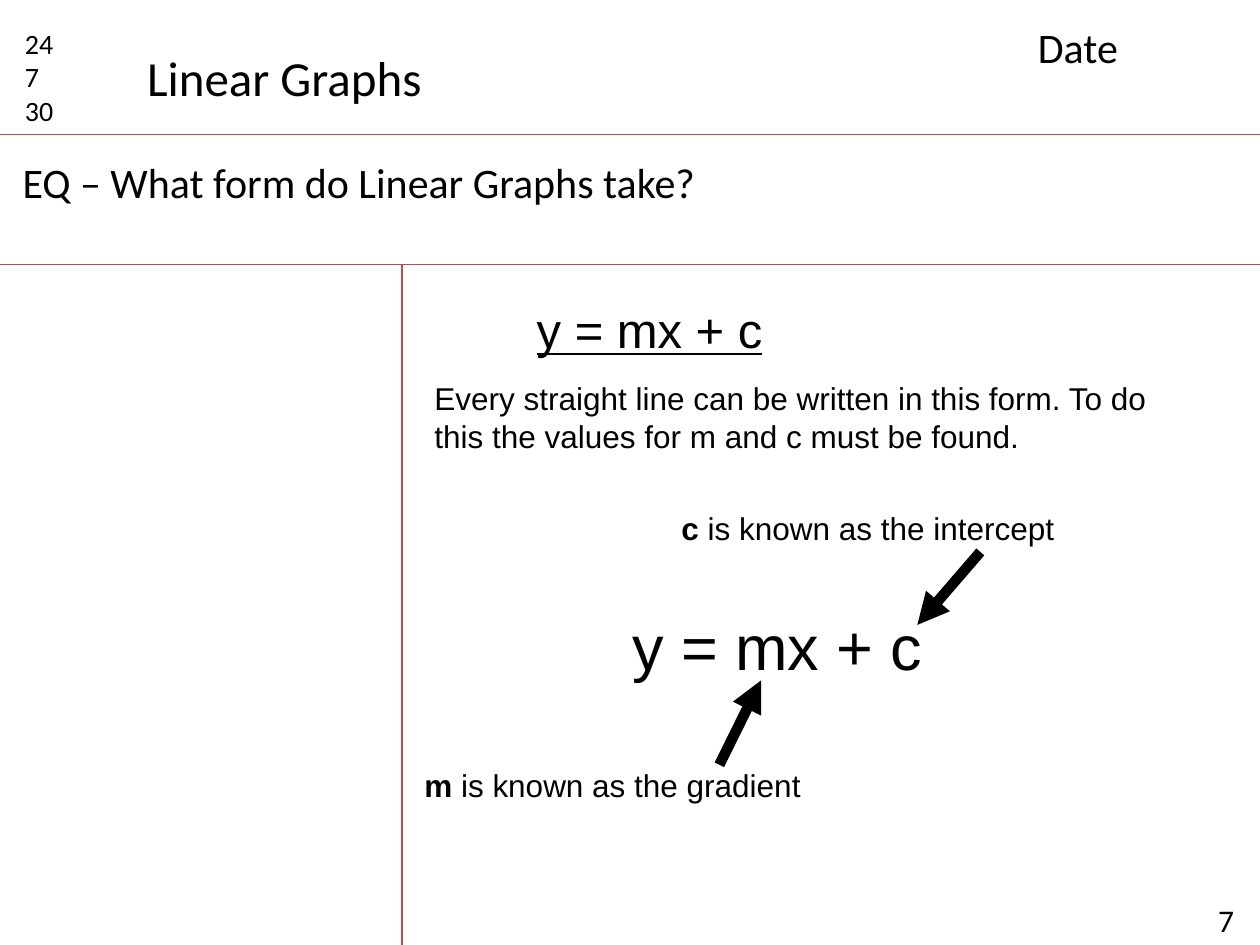
import pptx
import pptx.util
import pptx.dml.color
import pptx.enum.shapes
import pptx.enum.text
import pptx.oxml
import pptx.oxml.ns
from pptx.util import Pt

THEME = {
    "ink": "000000", "rule": "BF4C48",
    "heading_font": "Calibri", "body_font": "Arial",
    "small": 16, "body": 18, "question": 24, "title": 28, "equation": 36,
    "rule_width": 0.75, "arrow_width": 6,
}
PAGE_WIDTH, PAGE_HEIGHT = 720, 540

# Rules that divide the notes page: start x, start y, end x, end y
HEADER_Y, QUESTION_Y, MARGIN_X = 77, 151.2, 229.7
RULES = [
    (0, HEADER_Y, PAGE_WIDTH, HEADER_Y),
    (0, QUESTION_Y, PAGE_WIDTH, QUESTION_Y),
    (MARGIN_X, QUESTION_Y, MARGIN_X, PAGE_HEIGHT),
]

# Arrows from each explanation to its letter
ARROWS = [
    (560.2, 315.4, 524.2, 357.1),
    (411.1, 437, 434.9, 388.8),
]

# Text: (left, top, width, height), font, size, paragraphs of (text, style) spans
TEXTS = [
    ((689, 511.2, 43.2, 28.8), "heading_font", "body", [[("7", "")]]),
    ((7.2, 11.5, 45.4, 65.5), "heading_font", "small",
     [[("24", "")], [("7", "")], [("30", "")]]),
    ((586, 8.6, 124.6, 36), "heading_font", "question", [[("Date", "")]]),
    ((77, 23.8, 173.5, 41), "heading_font", "title", [[("Linear Graphs", "")]]),
    ((5.8, 85.7, 640.8, 36), "heading_font", "question",
     [[("EQ – What form do Linear Graphs take?", "")]]),
    ((269.3, 167.8, 203.8, 33.8), "body_font", "title",
     [[("y = mx + c", "underline center")]]),
    ((241.2, 213.1, 436.3, 51.1), "body_font", "body",
     [[("Every straight line can be written in this form. "
        "To do this the values for m and c must be found.", "")]]),
    ((382.3, 287.3, 250.6, 28.8), "body_font", "body",
     [[("c", "bold"), (" is known as the intercept", "")]]),
    ((354.2, 343.4, 195.1, 51.1), "body_font", "equation",
     [[("y = mx + c", "")]]),
    ((235.4, 434.2, 259.2, 28.8), "body_font", "body",
     [[("m", "bold"), (" is known as the gradient", "")]]),
]


def color(name):
    return pptx.dml.color.RGBColor.from_string(THEME[name])


def add_line(page, ends, color_name, width_name, arrow=False):
    line = page.shapes.add_connector(
        pptx.enum.shapes.MSO_CONNECTOR.STRAIGHT, *[Pt(value) for value in ends])
    line.line.color.rgb = color(color_name)
    line.line.width = Pt(THEME[width_name])
    if arrow:
        head = pptx.oxml.parse_xml(
            '<a:tailEnd %s type="triangle"/>' % pptx.oxml.ns.nsdecls("a"))
        line.line._get_or_add_ln().append(head)
    line._element.spPr.append(
        pptx.oxml.parse_xml("<a:effectLst %s/>" % pptx.oxml.ns.nsdecls("a")))


def add_text(page, place, font_name, size_name, paragraphs):
    box = page.shapes.add_textbox(*[Pt(value) for value in place])
    frame = box.text_frame
    frame.word_wrap = True
    for index, spans in enumerate(paragraphs):
        para = frame.add_paragraph() if index else frame.paragraphs[0]
        for text, style in spans:
            span = para.add_run()
            span.text = text
            span.font.name = THEME[font_name]
            span.font.size = Pt(THEME[size_name])
            span.font.color.rgb = color("ink")
            span.font.bold = "bold" in style
            span.font.underline = "underline" in style
            if "center" in style:
                para.alignment = pptx.enum.text.PP_ALIGN.CENTER


def main():
    deck = pptx.Presentation()
    deck.slide_width, deck.slide_height = Pt(PAGE_WIDTH), Pt(PAGE_HEIGHT)
    page = deck.slides.add_slide(deck.slide_layouts[6])
    for ends in RULES:
        add_line(page, ends, "rule", "rule_width")
    for text in TEXTS:
        add_text(page, *text)
    for ends in ARROWS:
        add_line(page, ends, "ink", "arrow_width", arrow=True)
    deck.save("out.pptx")


if __name__ == "__main__":
    main()
